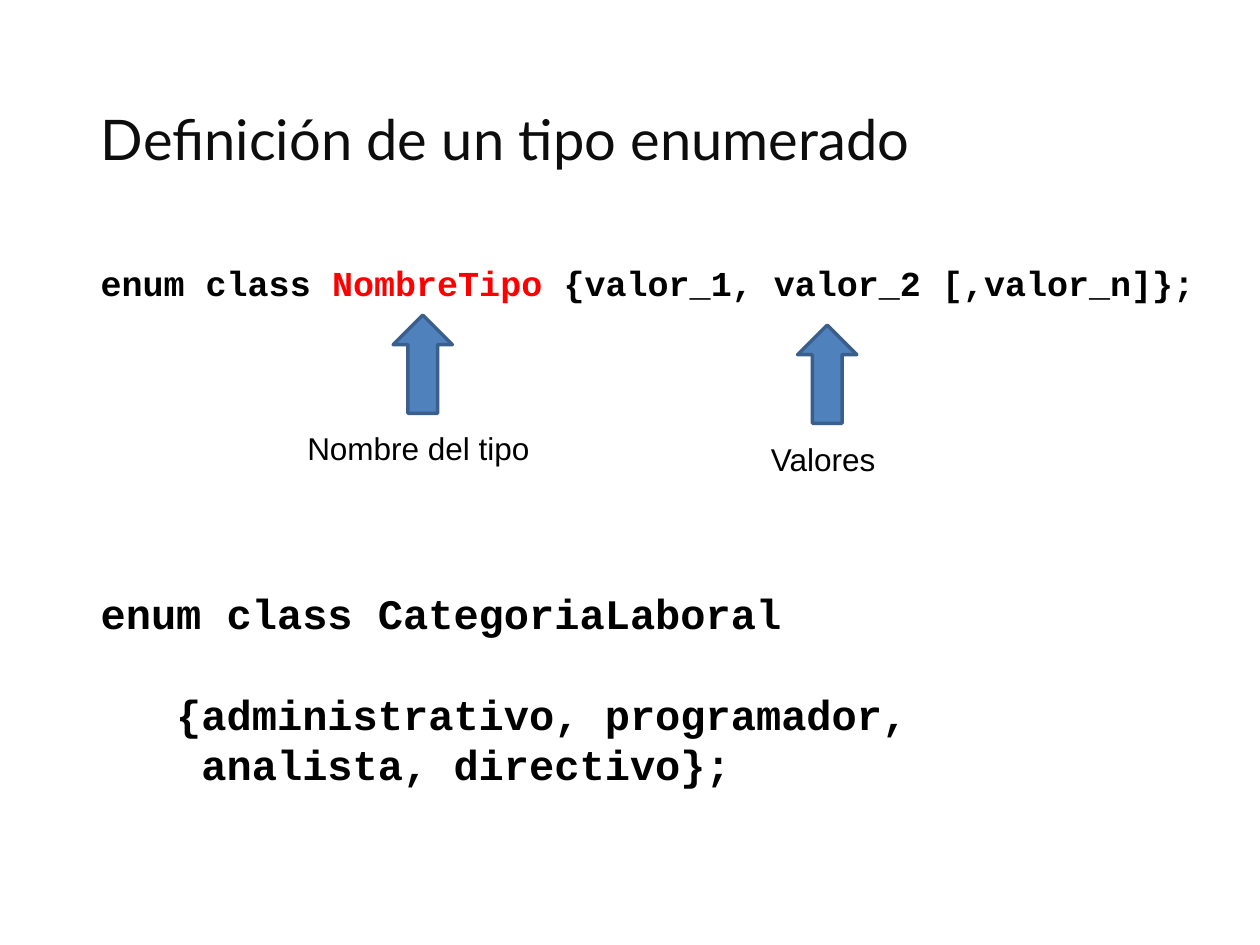
import pptx
import pptx.util
import pptx.dml.color
import pptx.enum.shapes
import pptx.enum.text
from pptx.util import Inches

CODE_FONT = "Courier New"


def color(value):
    """Return the colour for a hex string."""
    return pptx.dml.color.RGBColor.from_string(value)


def style(r, font, size, value="000000", bold=False):
    """Format one run."""
    r.font.name = font
    r.font.size = pptx.util.Pt(size)
    r.font.bold = bold
    r.font.color.rgb = color(value)


def add_box(s, left, top, width, height):
    """Add a wrapping text box and return its text frame."""
    tf = s.shapes.add_textbox(
        Inches(left), Inches(top), Inches(width), Inches(height)).text_frame
    tf.word_wrap = True
    return tf


def add_title(s, left, top, width, height):
    """Place and format the slide title."""
    sp = s.shapes.title
    sp.left, sp.top = Inches(left), Inches(top)
    sp.width, sp.height = Inches(width), Inches(height)
    tf = sp.text_frame
    tf.text = "Definición de un tipo enumerado"
    tf.vertical_anchor = pptx.enum.text.MSO_ANCHOR.MIDDLE
    p = tf.paragraphs[0]
    p.alignment = pptx.enum.text.PP_ALIGN.LEFT
    style(p.runs[0], "Lato", 32, "0D0D0D")


def add_syntax(s, left, top, width, height):
    """Add the general syntax line with the type name highlighted."""
    p = add_box(s, left, top, width, height).paragraphs[0]
    for text, value in (("enum class ", "000000"),
                        ("NombreTipo ", "FF0000"),
                        ("{valor_1, valor_2 [,valor_n]};", "000000")):
        r = p.add_run()
        r.text = text
        style(r, CODE_FONT, 20, value, True)


def add_callout(s, left, top, width, text, arrow_left):
    """Add an upward arrow with its label below."""
    sp = s.shapes.add_shape(
        pptx.enum.shapes.MSO_SHAPE.DOWN_ARROW, Inches(arrow_left), Inches(top),
        Inches(0.47), Inches(0.78))
    sp.rotation = 180
    sp.shadow.inherit = False
    sp.fill.solid()
    sp.fill.fore_color.rgb = color("4F81BD")
    sp.line.color.rgb = color("3A5F8C")
    sp.line.width = pptx.util.Pt(2)
    tf = add_box(s, left, top + 0.86, width, 0.4)
    tf.text = text
    style(tf.paragraphs[0].runs[0], "Arial", 18)


def add_example(s, left, top, width, height):
    """Add the example declaration with a gap after its first line."""
    tf = add_box(s, left, top, width, height)
    tf.text = ("enum class CategoriaLaboral\n"
               "   {administrativo, programador,\n"
               "    analista, directivo};")
    for p in tf.paragraphs:
        style(p.runs[0], CODE_FONT, 24, bold=True)
    tf.paragraphs[1].space_before = pptx.util.Pt(29)


def main():
    """Build and save the slide."""
    prs = pptx.Presentation()
    prs.slide_width, prs.slide_height = Inches(10), Inches(7.5)
    s = prs.slides.add_slide(prs.slide_layouts[5])
    add_title(s, 0.7, 0.62, 9, 0.95)
    add_example(s, 0.7, 4.61, 8.91, 1.72)
    add_syntax(s, 0.7, 2.03, 8.91, 0.44)
    add_callout(s, 2.34, 2.5, 2.19, "Nombre del tipo", 3.12)
    add_callout(s, 6.02, 2.58, 1.09, "Valores", 6.33)
    prs.save("out.pptx")


if __name__ == "__main__":
    main()
